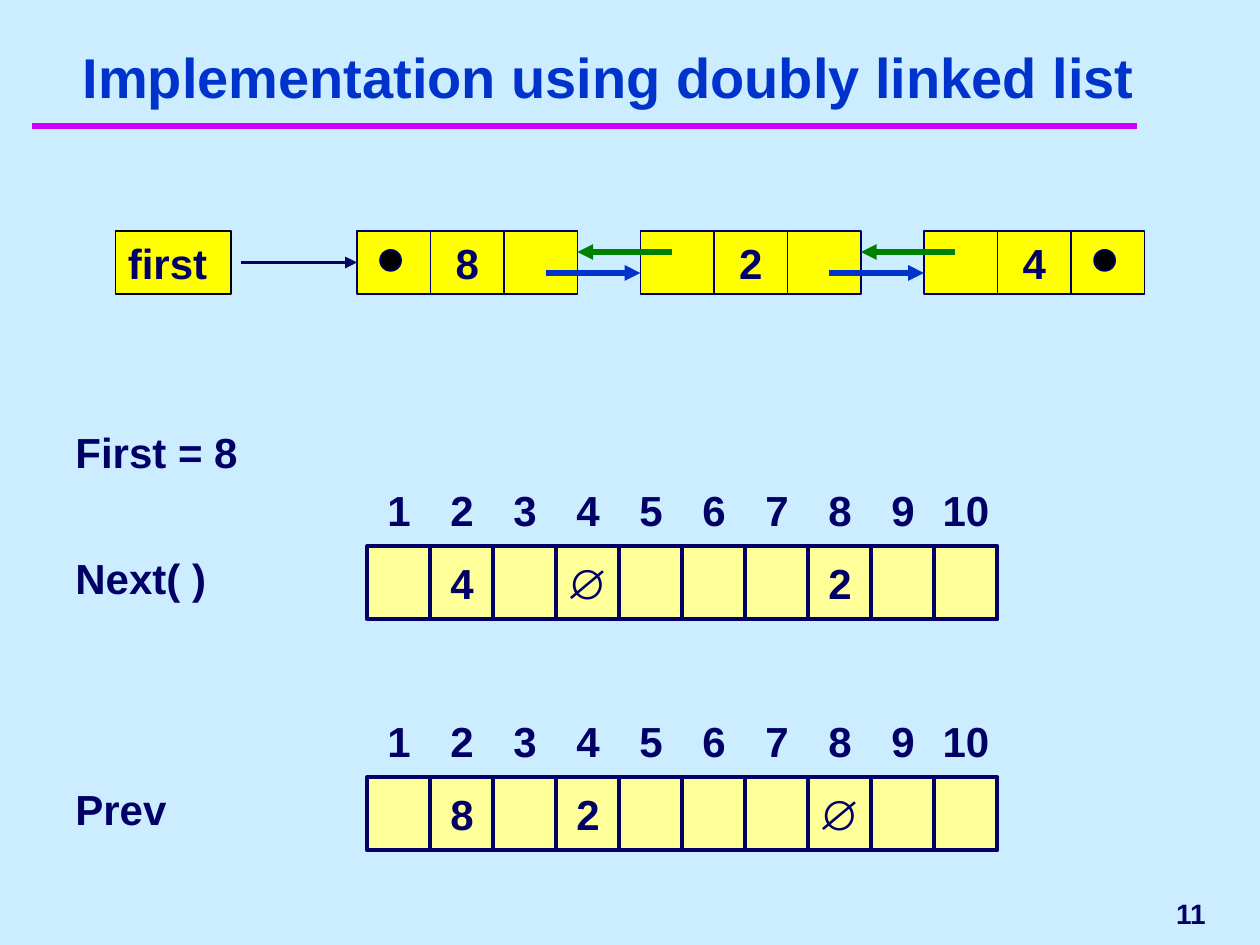
from pptx import Presentation
from pptx.dml.color import RGBColor
from pptx.enum.shapes import MSO_CONNECTOR, MSO_SHAPE
from pptx.enum.text import MSO_ANCHOR as ANCHOR, PP_ALIGN as ALIGN
from pptx.oxml.ns import qn
from pptx.util import Inches, Pt
from lxml.etree import SubElement

SKY = RGBColor(0xCC, 0xEC, 0xFF)
NAVY = RGBColor(0x00, 0x00, 0x66)
BLUE = RGBColor(0x00, 0x33, 0xCC)
GREEN = RGBColor(0x00, 0x80, 0x00)
MAGENTA = RGBColor(0xCC, 0x00, 0xFF)
YELLOW = RGBColor(0xFF, 0xFF, 0x00)
CREAM = RGBColor(0xFF, 0xFF, 0x99)
BLACK = RGBColor(0x00, 0x00, 0x00)

prs = Presentation()
prs.slide_width, prs.slide_height = Inches(10), Inches(7.5)
slide = prs.slides.add_slide(prs.slide_layouts[6])
slide.background.fill.solid()
slide.background.fill.fore_color.rgb = SKY

# The grid has 120 columns and 90 rows
UNIT = prs.slide_width / 120


def add_box(col, row, cols, rows, text="", fill=None, line=NAVY, weight=1, size=24,
            color=NAVY, align=ALIGN.CENTER, anchor=ANCHOR.MIDDLE, kind=MSO_SHAPE.RECTANGLE):
    place = [round(n * UNIT) for n in (col, row, cols, rows)]
    if fill is None:
        box = slide.shapes.add_textbox(*place)
    else:
        box = slide.shapes.add_shape(kind, *place)
        box.shadow.inherit = False
        box.fill.solid()
        box.fill.fore_color.rgb = fill
        box.line.color.rgb = line
        box.line.width = Pt(weight)
    if text:
        frame = box.text_frame
        frame.word_wrap = True
        frame.vertical_anchor = anchor
        if align == ALIGN.CENTER:  # two digits need the full width of a cell
            frame.margin_left = frame.margin_right = 0
        paragraph = frame.paragraphs[0]
        paragraph.text = text
        paragraph.alignment = align
        font = paragraph.font
        font.name, font.size, font.bold = "Arial", Pt(size), True
        font.color.rgb = color
    return box


def add_line(start, end, row, color, weight, arrow=True):
    line = slide.shapes.add_connector(MSO_CONNECTOR.STRAIGHT, round(start * UNIT),
                                      round(row * UNIT), round(end * UNIT), round(row * UNIT))
    line.line.color.rgb = color
    line.line.width = Pt(weight)
    if arrow:
        SubElement(line.line._get_or_add_ln(), qn("a:tailEnd"), type="triangle")
    SubElement(line._element.spPr, qn("a:effectLst"))
    return line


# Title, rule and slide number
add_line(3, 108.33, 12, MAGENTA, 4, arrow=False)
add_box(0, 2, 116, 9, "Implementation using doubly linked list", size=32, color=BLUE,
        anchor=ANCHOR.BOTTOM)
add_box(93, 84, 23, 6, "11", size=16, align=ALIGN.RIGHT)

# Linked list: three nodes of three cells each
LIST_ROW, FIELD, NODE_STEP = 22, 7, 27
node_cols = [34 + NODE_STEP * n for n in range(3)]
add_box(11, LIST_ROW, 11, 6, "first", YELLOW, BLACK, align=ALIGN.LEFT, anchor=ANCHOR.TOP)
fields = []
for node_col, value in zip(node_cols, "824"):
    for i, text in enumerate(["", value, ""]):
        fields.append(add_box(node_col + i * FIELD, LIST_ROW, FIELD, 6, text, YELLOW))

# Null pointers at both ends of the list
for dot_col in (node_cols[0] + 2.2, node_cols[-1] + 2 * FIELD + 2.2):
    add_box(dot_col, LIST_ROW + 1.8, 2, 2, fill=BLACK, kind=MSO_SHAPE.OVAL)

# Pointers: first, then back and forward between neighbours
first_pointer = add_line(23, node_cols[0], LIST_ROW + 3, NAVY, 2.25)
first_pointer.end_connect(fields[0], 1)
for node_col in node_cols[1:]:
    add_line(node_col + 3, node_col - 6, LIST_ROW + 2, GREEN, 3)
    add_line(node_col - 9, node_col, LIST_ROW + 4, BLUE, 3)

# Arrays with their index rows
ARRAY_COL, CELL_COLS, CELL_ROWS = 35, 6, 7
arrays = [("Next( )", 52, {2: "4", 4: "∅", 8: "2"}),
          ("Prev", 74, {2: "8", 4: "2", 8: "∅"})]
add_box(6, 40, 22, 6, "First = 8", align=ALIGN.LEFT, anchor=ANCHOR.TOP)
for label, row, values in arrays:
    add_box(6, row, 22, 6, label, align=ALIGN.LEFT, anchor=ANCHOR.TOP)
    for index in range(1, 11):
        col = ARRAY_COL + (index - 1) * CELL_COLS
        add_box(col, row - CELL_ROWS, CELL_COLS, CELL_ROWS, str(index))
        add_box(col, row, CELL_COLS, CELL_ROWS, values.get(index, ""), CREAM, weight=2.25)

prs.save("out.pptx")
